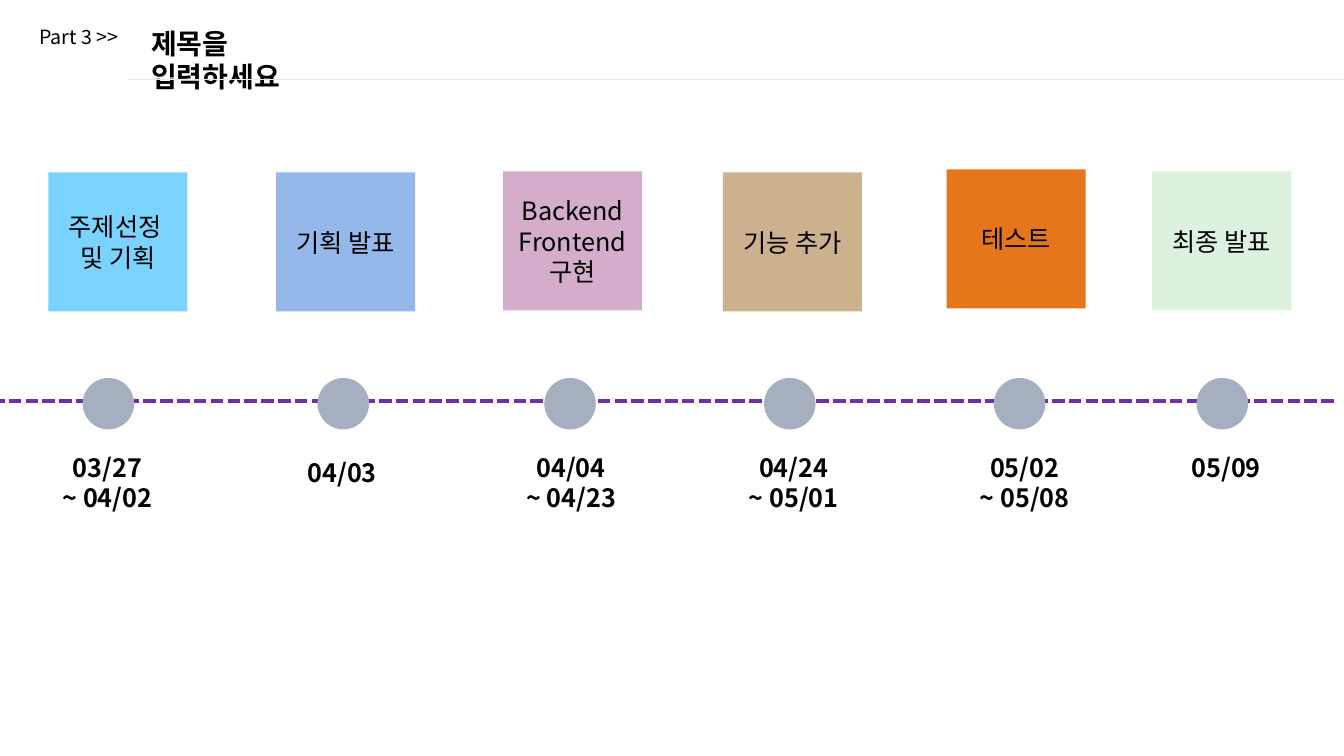
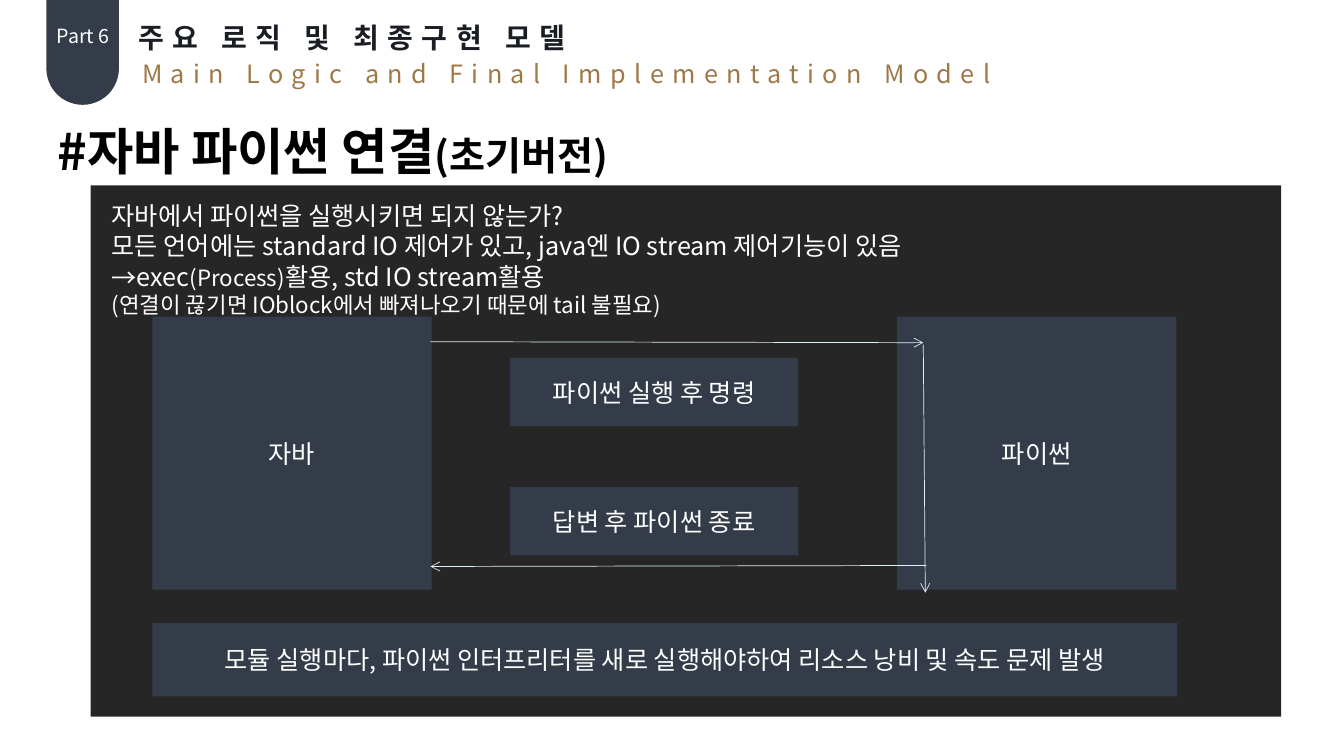
from typing import NamedTuple

from lxml import etree
from pptx import Presentation
from pptx import util as u
from pptx.dml.color import RGBColor
from pptx.enum import dml, shapes, text
from pptx.oxml.ns import qn

FONT = "Noto Sans CJK KR"
HEX = {
    "ink": "000000", "white": "FFFFFF", "rule": "F0E8DE", "axis": "7030A0",
    "dot": "A5AFBF", "navy": "343C49", "head": "1A1E24", "gold": "9F7848",
    "panel": "262626", "wire": "DEF0F7", "sky": "79D3FD", "blue": "95B8EB",
    "pink": "D3ADC9", "tan": "CCB18F", "orange": "E5761B", "mint": "DDF1DF",
}
WIDE, HIGH = u.Inches(13.333), u.Inches(7.5)
LEFT, MID = text.PP_ALIGN.LEFT, text.PP_ALIGN.CENTER
KIND = shapes.MSO_SHAPE


class Area(NamedTuple):
    """Left, top, width and height in percent of the slide."""
    x: float
    y: float
    w: float
    h: float


class Style(NamedTuple):
    size: float
    color: str = "ink"
    bold: bool = False
    gap: float = 0


class Run(NamedTuple):
    text: str
    style: Style


class Stage(NamedTuple):
    """Lefts of box and dot, centre of the date, top of box and date."""
    label: list[str]
    dates: list[str]
    fill: str
    box: float
    dot: float
    date: float
    top: float
    low: float = 59.2


class Wire(NamedTuple):
    x1: float
    y1: float
    x2: float
    y2: float
    color: str
    width: float = 0.5
    dash: bool = False
    arrow: bool = False


PART = Style(14)
BODY = Style(18)
LIGHT = Style(18, "white")
SMALL = Style(16, "white")
DATE = Style(18, bold=True)

STAGES = [
    Stage(["주제선정 ", "및 기획"], ["03/27", "~ 04/02"], "sky", 3.6, 6.15, 7.99, 22.8),
    Stage(["기획 발표"], ["04/03"], "blue", 20.55, 23.63, 25.46, 22.8, 59.87),
    Stage(["Backend", "Frontend", "구현"], ["04/04", "~ 04/23"], "pink", 37.43, 40.5, 42.49, 22.67),
    Stage(["기능 추가"], ["04/24", "~ 05/01"], "tan", 53.78, 56.85, 59.06, 22.8),
    Stage(["테스트"], ["05/02", "~ 05/08"], "orange", 70.43, 73.95, 76.24, 22.4),
    Stage(["최종 발표"], ["05/09"], "mint", 85.73, 89.03, 91.24, 22.67),
]
NOTES = [
    [Run("자바에서 파이썬을 실행시키면 되지 않는가?", LIGHT)],
    [Run("모든 언어에는 standard IO 제어가 있고, java엔 IO stream 제어기능이 있음", LIGHT)],
    [Run("exec", LIGHT), Run("(Process)", SMALL), Run("활용, std IO stream활용", LIGHT)],
    [Run("(연결이 끊기면 IOblock에서 빠져나오기 때문에 tail 불필요)", SMALL)],
]
BLOCKS = [
    ("자바", Area(11.33, 41.87, 20.78, 36.13)),
    ("파이썬", Area(66.75, 41.87, 20.78, 36.13)),
    ("파이썬 실행 후 명령", Area(37.95, 47.33, 21.45, 9.07)),
    ("답변 후 파이썬 종료", Area(37.95, 64.4, 21.45, 9.07)),
    ("모듈 실행마다, 파이썬 인터프리터를 새로 실행해야하여 리소스 낭비 및 속도 문제 발생",
     Area(11.33, 82.4, 76.28, 9.73)),
]
ARROWS = [
    Wire(32.03, 45.2, 68.7, 45.33, "wire", arrow=True),
    Wire(68.93, 74.8, 32.03, 74.93, "wire", arrow=True),
    Wire(68.7, 45.6, 68.85, 78.4, "wire", arrow=True),
]


def rgb(name: str) -> RGBColor:
    return RGBColor.from_string(HEX[name])


def px(x: float) -> int:
    return round(WIDE * x / 100)


def py(y: float) -> int:
    return round(HIGH * y / 100)


def place(area: Area) -> tuple[int, int, int, int]:
    return px(area.x), py(area.y), px(area.w), py(area.h)


def plain(lines: list[str], style: Style) -> list[list[Run]]:
    return [[Run(line, style)] for line in lines]


def write(frame, rows: list[list[Run]], align=LEFT) -> None:
    for i, row in enumerate(rows):
        para = frame.paragraphs[0] if i == 0 else frame.add_paragraph()
        para.alignment = align
        for part in row:
            run, style = para.add_run(), part.style
            run.text = part.text
            form = {"size": u.Pt(style.size), "bold": style.bold, "name": FONT}
            for key, val in form.items():
                setattr(run.font, key, val)
            run.font.color.rgb = rgb(style.color)
            props = run.font._element
            if style.gap:
                props.set("spc", str(round(style.gap * 100)))
            etree.SubElement(props, qn("a:ea")).set("typeface", FONT)


def setup(frame, wrap: bool, anchor=text.MSO_ANCHOR.TOP) -> None:
    form = {"word_wrap": wrap, "vertical_anchor": anchor,
            "auto_size": text.MSO_AUTO_SIZE.NONE}
    for key, val in form.items():
        setattr(frame, key, val)


def label(slide, area: Area, rows: list[list[Run]], align=LEFT, wrap: bool = False):
    box = slide.shapes.add_textbox(*place(area))
    setup(box.text_frame, wrap)
    write(box.text_frame, rows, align)
    return box


def title(slide, area: Area, words: str, style: Style, wrap: bool = False) -> None:
    head = slide.shapes.title
    head.left, head.top, head.width, head.height = place(area)
    setup(head.text_frame, wrap)
    write(head.text_frame, plain([words], style))


def block(slide, area: Area, fill: str, rows=(), kind=KIND.RECTANGLE):
    shape = slide.shapes.add_shape(kind, *place(area))
    shape.shadow.inherit = False
    shape.fill.solid()
    shape.fill.fore_color.rgb = rgb(fill)
    shape.line.fill.background()
    setup(shape.text_frame, True, text.MSO_ANCHOR.MIDDLE)
    write(shape.text_frame, rows, MID)
    return shape


def draw(slide, wire: Wire) -> None:
    link = slide.shapes.add_connector(
        shapes.MSO_CONNECTOR.STRAIGHT,
        px(wire.x1), py(wire.y1), px(wire.x2), py(wire.y2))
    link.line.color.rgb = rgb(wire.color)
    link.line.width = u.Pt(wire.width)
    if wire.dash:
        link.line.dash_style = dml.MSO_LINE.SQUARE_DOT
    if wire.arrow:
        etree.SubElement(link.line._get_or_add_ln(), qn("a:tailEnd")).set("type", "arrow")
    etree.SubElement(link._element.spPr, qn("a:effectLst"))


def bullet(para, sign: str) -> None:
    props = para._p.get_or_add_pPr()
    for key, val in {"marL": 228600, "indent": -228600}.items():
        props.set(key, str(val))
    etree.SubElement(props, qn("a:buFont")).set("typeface", FONT)
    etree.SubElement(props, qn("a:buChar")).set("char", sign)


def plan(slide) -> None:
    """Timeline of the project stages."""
    label(slide, Area(2.2, 2.67, 7.73, 4.53), plain(["Part 3 >>"], PART))
    title(slide, Area(10.5, 2.8, 16.5, 5.87), "제목을 입력하세요", Style(20, bold=True), True)
    draw(slide, Wire(9.45, 10.53, 100, 10.53, "rule"))
    draw(slide, Wire(-0.6, 53.07, 99.53, 53.07, "axis", 3, dash=True))
    for stage in STAGES:
        block(slide, Area(stage.dot, 50, 3.83, 6.8), "dot", kind=KIND.OVAL)
        tall = 1.2 + 4.13 * len(stage.dates)
        label(slide, Area(stage.date - 4.39, stage.low, 8.78, tall),
              plain(stage.dates, DATE), MID)
        block(slide, Area(stage.box, stage.top, 10.35, 18.4), stage.fill,
              plain(stage.label, BODY))


def logic(slide) -> None:
    """Diagram of the two processes."""
    tab = block(slide, Area(3.45, 0, 5.4, 13.87), "navy", kind=KIND.ROUND_2_SAME_RECTANGLE)
    tab.adjustments[0], tab.adjustments[1] = 0, 0.5
    title(slide, Area(9.53, 2, 37.05, 5.87), "주요 로직 및 최종구현 모델",
          Style(20, "head", True, 6))
    label(slide, Area(3.45, 2.53, 5.48, 4.53), plain(["Part 6"], Style(14, "white")), MID)
    label(slide, Area(9.83, 7.07, 65.78, 5.33),
          plain(["Main Logic and Final Implementation Model"], Style(18, "gold", gap=6)))
    label(slide, Area(3.53, 15.2, 48.6, 9.47),
          [[Run("#자바 파이썬 연결", Style(36, bold=True)),
            Run("(초기버전)", Style(28, bold=True))]])
    block(slide, Area(6.75, 24.53, 88.58, 70.27), "panel")
    notes = label(slide, Area(7.58, 25.87, 86.78, 17.47), NOTES, wrap=True)
    bullet(notes.text_frame.paragraphs[2], "→")
    for words, area in BLOCKS:
        block(slide, area, "navy", plain([words], LIGHT))
    for wire in ARROWS:
        draw(slide, wire)


def main() -> None:
    deck = Presentation()
    deck.slide_width, deck.slide_height = WIDE, HIGH
    for fill in (plan, logic):
        fill(deck.slides.add_slide(deck.slide_layouts[5]))
    deck.save("out.pptx")


if __name__ == "__main__":
    main()
